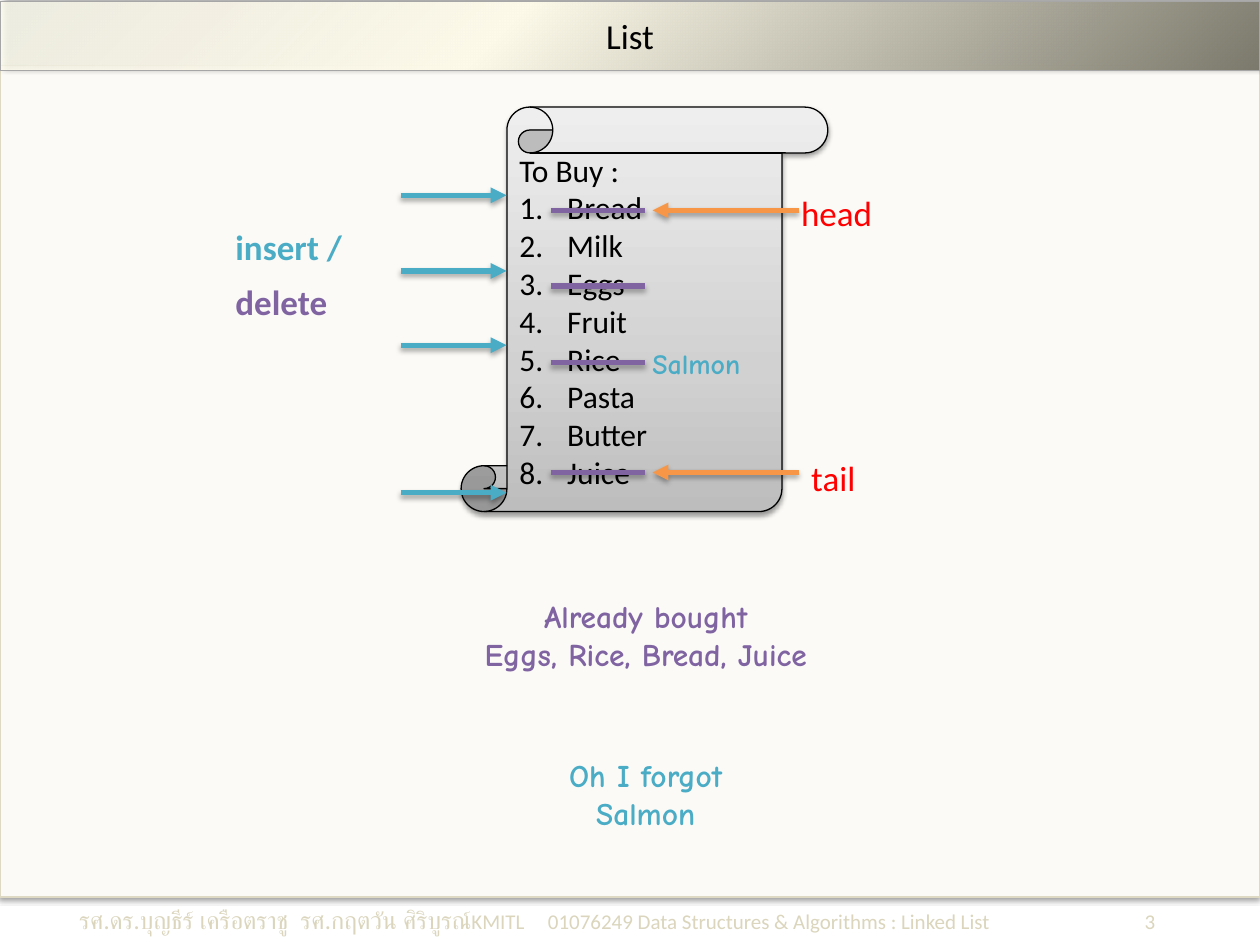
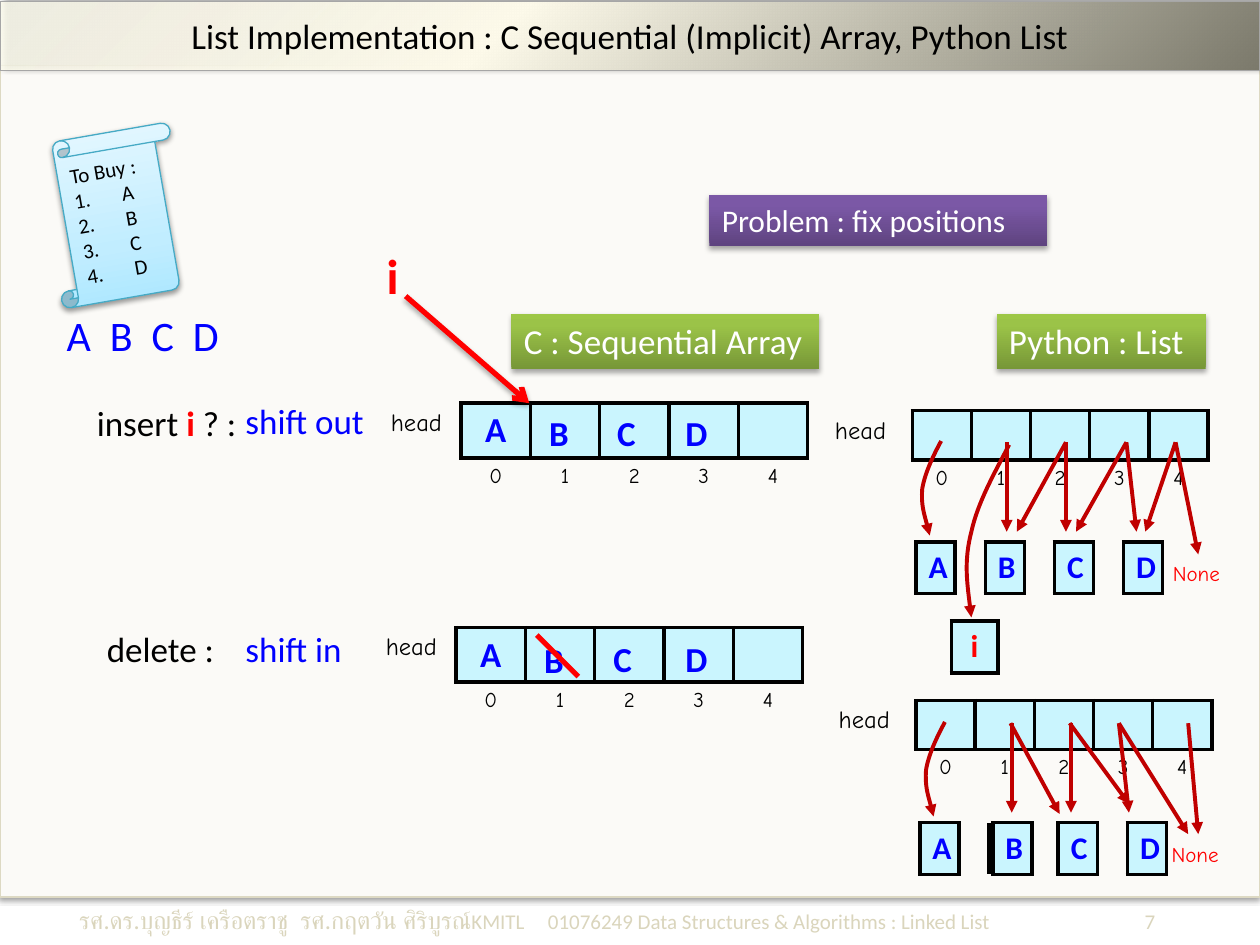
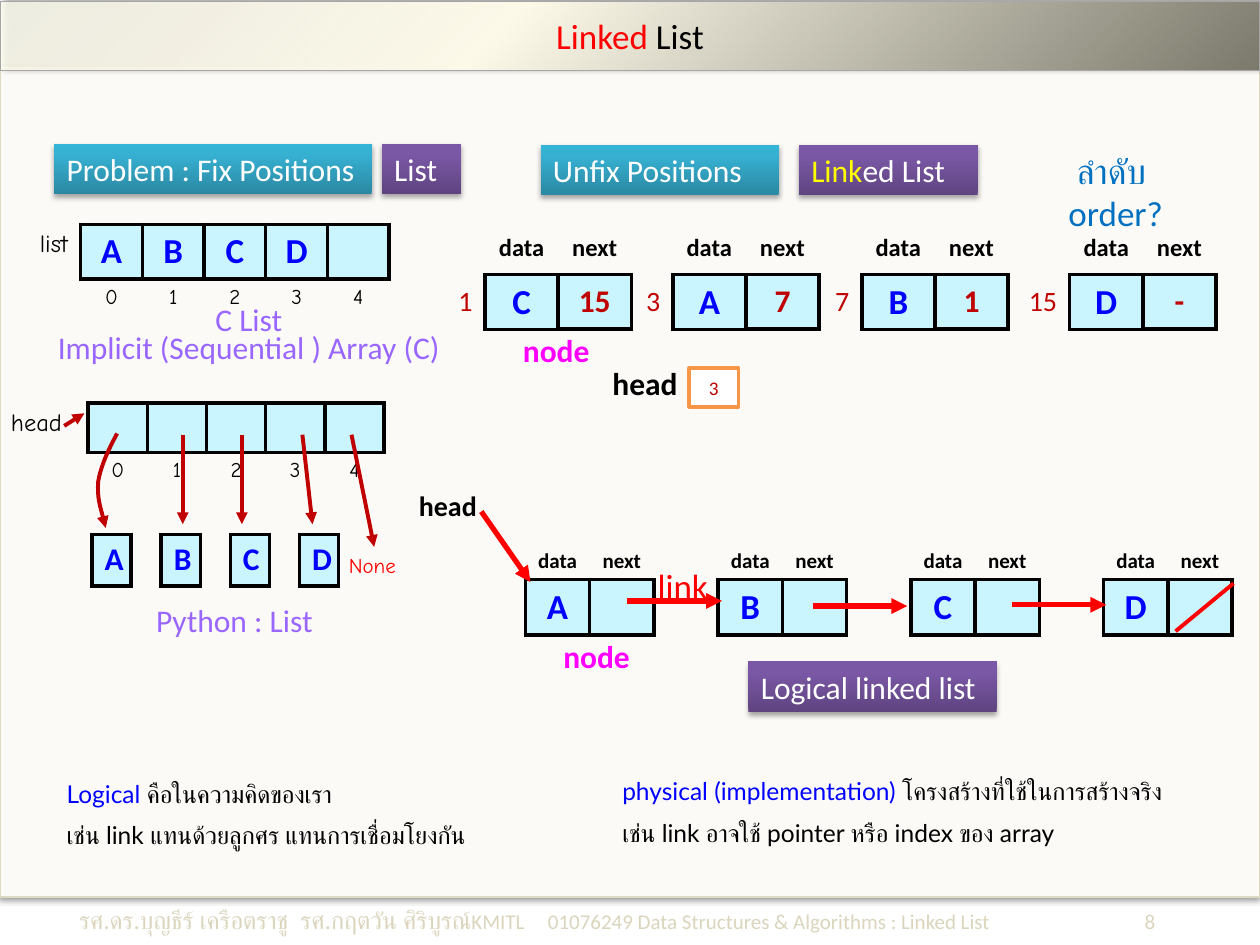
"""Build three lecture slides about lists and linked lists."""
from lxml import etree
from pptx import Presentation
from pptx.dml.color import RGBColor
from pptx.enum.shapes import MSO_CONNECTOR, MSO_SHAPE
from pptx.enum.text import MSO_ANCHOR, MSO_AUTO_SIZE, PP_ALIGN
from pptx.oxml.ns import qn
from pptx.util import Inches, Pt

WIDTH, HEIGHT = 10, 7.5
SANS, COMIC, LATO = "Calibri", "Comic Neue", "Lato"
CENTER, RIGHT = PP_ALIGN.CENTER, PP_ALIGN.RIGHT

BLACK, WHITE = RGBColor(0, 0, 0), RGBColor(255, 255, 255)
RED, DARK_RED = RGBColor(255, 0, 0), RGBColor(0xC0, 0, 0)
BLUE, SKY = RGBColor(0, 0, 255), RGBColor(0, 0x70, 0xC0)
TEAL, PURPLE = RGBColor(0x4B, 0xAC, 0xC6), RGBColor(0x80, 0x64, 0xA2)
ORANGE, YELLOW = RGBColor(0xF7, 0x96, 0x46), RGBColor(255, 255, 0)
VIOLET, PINK = RGBColor(0x99, 0x66, 0xFF), RGBColor(255, 0, 255)
CELL = RGBColor(0xCA, 0xF5, 0xFE)
PANEL, PANEL_EDGE = RGBColor(0xFB, 0xFA, 0xF7), RGBColor(0xDD, 0xD9, 0xC3)
TITLE_EDGE, SCROLL_EDGE = RGBColor(0xA6, 0xA6, 0xA6), RGBColor(0x46, 0xAA, 0xC5)
FOOTER = RGBColor(0xDA, 0xD5, 0xBC)

TITLE_BAND = [(0, "FEFCEE", 79), (40, "FDFAEA", 100), (100, "7B796B", 100)]
GREEN_BAND = [(0, "779737", 100), (80, "9BC348", 100), (100, "9DC746", 100)]
PURPLE_BAND = [(0, "5F4480", 100), (80, "7B58A6", 100), (100, "7C57A8", 100)]
TEAL_BAND = [(0, "2A88A2", 100), (80, "37B1D2", 100), (100, "34B4D6", 100)]
GREY_PAPER = [(0, "BDBDBD", 100), (35, "D1D1D1", 100), (100, "EEEEEE", 100)]
BLUE_PAPER = [(0, "A7E6FF", 100), (35, "C1EDFF", 100), (100, "E7F8FF", 100)]
SOFT, LIFTED, TITLE_SHADOW = (38, 3.1, 1.6, 90), (35, 3.1, 1.8, 90), (40, 4, 3, 315)

HEAD = dict(size=14, font=COMIC, align=CENTER)
INDEX = dict(size=12, font=COMIC, align=CENTER)
LETTER = dict(size=20, color=BLUE, bold=True, align=CENTER)
SMALL_LETTER = dict(LETTER, size=18)
LINK = dict(size=18, color=DARK_RED, bold=True, align=CENTER)
FIELD = dict(size=14, bold=True, align=CENTER)
NOTE = dict(size=18, font=COMIC, bold=True, align=CENTER)
NONE = dict(size=12, font=COMIC, color=RED, wrap=False)
NODE = dict(size=18, color=PINK, bold=True, align=CENTER, wrap=False)

AUTHORS = "รศ.ดร.บุญธีร์ เครือตราชู  รศ.กฤตวัน ศิริบูรณ์"
COURSE = "KMITL\t01076249 Data Structures & Algorithms : Linked List"
SIDES = {"L": (0, -1), "R": (0, 1), "T": (-1, 0), "B": (1, 0)}

SHOPPING = ["To Buy :", "Bread", "Milk", "Eggs", "Fruit", "Rice", "Pasta", "Butter", "Juice"]
STRIKES = [1.67, 2.27, 2.88, 3.75]
INSERT_POINTS = [1.55, 2.15, 2.74, 3.91]
LIST_TEXTS = [
    ("Oh I forgot Salmon", (4.06, 5.95, 2.13, 0.71), dict(NOTE, color=TEAL)),
    (["Already bought", "Eggs, Rice, Bread, Juice"], (3.43, 4.69, 3.39, 0.71), dict(NOTE, color=PURPLE)),
    ("head", (6.26, 1.47, 0.84, 0.39), dict(color=RED)),
    ("tail", (6.34, 3.57, 0.77, 0.35), dict(color=RED)),
    ("insert /", (1.77, 1.74, 1.36, 0.77), dict(color=TEAL, bold=True)),
    ("delete", (1.77, 2.18, 0.94, 0.44), dict(color=PURPLE, bold=True, wrap=False)),
    ("Salmon", (5.08, 2.7, 0.95, 0.37), dict(size=16, font=COMIC, color=TEAL, bold=True, wrap=False)),
]

LOOSE_LETTERS = [("B", 4.26, 3.22), ("C", 4.8, 3.22), ("D", 5.34, 3.22),
                 ("B", 4.22, 5.02), ("C", 4.77, 5.01), ("D", 5.34, 5.01)]
ARRAY_TEXTS = [
    ([["insert ", ("i", dict(color=RED, bold=True)), " ? :"]], (0.67, 3.14, 2.5, 0.44), {}),
    ([["delete :\t", ("shift in", dict(color=BLUE))]], (0.75, 4.93, 2.2, 0.44), dict(tabs=[(1.1, "l")])),
    ("A  B  C  D", (0.43, 2.41, 1.5, 0.5), dict(size=24, color=BLUE)),
    ("i", (2.97, 1.9, 0.33, 0.58), dict(size=28, color=RED, bold=True)),
    ("shift out", (1.85, 3.12, 1.16, 0.44), dict(color=BLUE, wrap=False)),
]
ARRAY_LABELS = [
    ("C : Sequential Array", (4.06, 2.49, 2.44, 0.44), GREEN_BAND, 20),
    ("Problem : fix positions", (5.63, 1.55, 2.68, 0.4), PURPLE_BAND, 18),
    ("Python : List", (7.91, 2.49, 1.66, 0.44), GREEN_BAND, 20),
]
DIRECT = [(1.57, 1.57, 0.96), (2.04, 2.04, 0.96), (2.52, 2.6, 0.96), (2.91, 3.09, 1.14)]
AFTER_INSERT = DIRECT + [(2.91, 2.67, 0.96), (2.52, 2.12, 0.96), (2.04, 1.65, 0.96)]
AFTER_DELETE = [(1.58, 1.58, 0.96), (2.05, 2.05, 0.96), (2.43, 2.51, 0.96), (2.98, 3.06, 1.13),
                (2.43, 2.98, 1.13), (2.04, 2.51, 0.89), (1.57, 1.96, 0.97)]
CURVE = [(0, 0), (-0.07, 0.13), (-0.13, 0.26), (-0.15, 0.38), (-0.16, 0.51), (-0.12, 0.63), (-0.09, 0.75)]
LONG_CURVE = [(0, 0), (-0.12, 0.23), (-0.25, 0.46), (-0.3, 0.69), (-0.36, 0.92), (-0.33, 1.14), (-0.3, 1.37)]

LINKED_LABELS = [
    ([[("Link", dict(color=YELLOW)), "ed List"]], (6.34, 1.15, 1.42, 0.4), PURPLE_BAND, 18),
    ("Problem : Fix Positions", (0.43, 1.14, 2.52, 0.4), TEAL_BAND, 18),
    ("Unfix Positions", (4.29, 1.15, 1.89, 0.4), TEAL_BAND, 18),
    ("Logical linked list", (5.94, 5.25, 1.97, 0.4), PURPLE_BAND, 18),
    ("List", (3.03, 1.14, 0.63, 0.4), PURPLE_BAND, 18),
]
LINKED_TEXTS = [
    (["C List", "Implicit (Sequential ) Array (C)"], (0.28, 2.41, 3.39, 0.57),
     dict(size=18, color=VIOLET, align=CENTER, leading=16)),
    ("ลำดับ  order?", (8.07, 1.14, 1.57, 0.44), dict(color=SKY, align=CENTER)),
    ([[("Logical ", dict(color=BLUE)), "คือในความคิดของเรา"],
      "เช่น link แทนด้วยลูกศร แทนการเชื่อมโยงกัน"],
     (0.43, 6.13, 4.02, 0.69), dict(size=14, font=LATO, gap=7)),
    ([[("physical (implementation) ", dict(color=BLUE)), "โครงสร้างที่ใช้ในการสร้างจริง"],
      "เช่น link อาจใช้ pointer หรือ index ของ array"],
     (4.84, 6.11, 4.92, 0.69), dict(size=14, font=LATO, gap=7)),
    ("head", (3.22, 3.83, 0.67, 0.37), dict(size=16, bold=True, align=CENTER, wrap=False)),
    ("head", (4.76, 2.84, 0.72, 0.4), dict(size=18, bold=True, align=CENTER, wrap=False)),
    ("node", (4.05, 2.58, 0.73, 0.4), NODE),
    ("node", (4.37, 5.01, 0.73, 0.4), NODE),
    ("link", (5.12, 4.43, 0.68, 0.44), dict(color=RED)),
    ("Python : List", (1.14, 4.72, 1.52, 0.4), dict(size=18, color=VIOLET, wrap=False)),
]
MEMORY_NODES = [("1", "C", "15", 3.27), ("3", "A", "7", 4.76), ("7", "B", "1", 6.26), ("15", "D", "-", 7.91)]
LINK_ARROWS = [((3.82, 4.06), (4.21, 4.62)), ((4.98, 4.77), (5.73, 4.77)),
               ((6.45, 4.81), (7.2, 4.81)), ((8.03, 4.8), (8.78, 4.8))]


def inches(values):
    return [Inches(value) for value in values]


def node(parent, tag, **attributes):
    return etree.SubElement(parent, qn(tag), {key: str(value) for key, value in attributes.items()})


def set_shadow(shape, shadow=None):
    effects = node(shape._element.spPr, "a:effectLst")
    if shadow:
        alpha, blur, distance, angle = shadow
        outer = node(effects, "a:outerShdw", blurRad=Pt(blur), dist=Pt(distance),
                     dir=angle * 60000, algn="ctr", rotWithShape=0)
        node(node(outer, "a:srgbClr", val="000000"), "a:alpha", val=alpha * 1000)


def set_gradient(shape, stops, angle=270):
    shape.fill.background()
    blank = shape._element.spPr.find(qn("a:noFill"))
    gradient = etree.Element(qn("a:gradFill"), rotWithShape="1")
    stop_list = node(gradient, "a:gsLst")
    for position, color, alpha in stops:
        stop = node(stop_list, "a:gs", pos=position * 1000)
        node(node(stop, "a:srgbClr", val=color), "a:alpha", val=alpha * 1000)
    node(gradient, "a:lin", ang=angle * 60000, scaled=0)
    blank.getparent().replace(blank, gradient)


def set_line(shape, color, width):
    shape.line.color.rgb = color
    shape.line.width = Pt(width)


def write(frame, paragraphs, size=20, color=BLACK, bold=False, font=SANS, align=None,
          gap=0, leading=None, tabs=(), numbered=False):
    for row, runs in enumerate([paragraphs] if isinstance(paragraphs, str) else paragraphs):
        paragraph = frame.add_paragraph() if row else frame.paragraphs[0]
        paragraph.alignment = align or PP_ALIGN.LEFT
        if gap and row:
            paragraph.space_before = Pt(gap)
        if leading:
            paragraph.line_spacing = Pt(leading)
        properties = paragraph._p.get_or_add_pPr()
        if numbered and row:
            properties.set("marL", str(Inches(0.38)))
            properties.set("indent", str(-Inches(0.38)))
            node(properties, "a:buAutoNum", type="arabicPeriod")
        if tabs:
            tab_list = node(properties, "a:tabLst")
            for position, kind in tabs:
                node(tab_list, "a:tab", pos=Inches(position), algn=kind)
        for run in [runs] if isinstance(runs, str) else runs:
            text, changes = (run, {}) if isinstance(run, str) else run
            look = dict(dict(size=size, color=color, bold=bold), **changes)
            part = paragraph.add_run()
            part.text = text
            part.font.name, part.font.size = font, Pt(look["size"])
            part.font.bold, part.font.color.rgb = look["bold"], look["color"]


def add_text(slide, text, at, wrap=True, **style):
    frame = slide.shapes.add_textbox(*inches(at)).text_frame
    frame.word_wrap = wrap
    if not wrap:
        frame.auto_size = MSO_AUTO_SIZE.SHAPE_TO_FIT_TEXT
    write(frame, text, **style)


def add_label(slide, text, at, band, size):
    label = slide.shapes.add_shape(MSO_SHAPE.RECTANGLE, *inches(at))
    set_gradient(label, band)
    label.line.fill.background()
    set_shadow(label, LIFTED)
    label.text_frame.vertical_anchor = MSO_ANCHOR.TOP
    write(label.text_frame, text, size=size, color=WHITE)


def add_scroll(slide, items, at, paper, edge, size, rotation=0):
    scroll = slide.shapes.add_shape(MSO_SHAPE.VERTICAL_SCROLL, *inches(at))
    scroll.rotation = rotation
    set_gradient(scroll, paper)
    set_line(scroll, edge, 0.75)
    set_shadow(scroll, SOFT)
    scroll.text_frame.vertical_anchor = MSO_ANCHOR.MIDDLE
    write(scroll.text_frame, items, size=size, numbered=True)


def add_arrow(slide, start, end, color, width=3, tip="triangle", shadow=None):
    line = slide.shapes.add_connector(MSO_CONNECTOR.STRAIGHT, *inches(start + end))
    set_line(line, color, width)
    if tip:
        node(line.line._get_or_add_ln(), "a:tailEnd", type=tip)
    set_shadow(line, shadow)


def add_curve(slide, left, top, offsets):
    points = [(Inches(left + x), Inches(top + y)) for x, y in offsets]
    builder = slide.shapes.build_freeform(*points[0])
    builder.add_line_segments(points[1:], close=False)
    curve = builder.convert_to_shape()
    path = curve._element.spPr.find(".//" + qn("a:path"))
    steps = path.findall(qn("a:lnTo"))
    for first in range(0, len(steps), 3):
        bend = node(path, "a:cubicBezTo")
        for step in steps[first:first + 3]:
            bend.append(step[0])
            path.remove(step)
    curve.fill.background()
    set_line(curve, DARK_RED, 2.25)
    node(curve.line._get_or_add_ln(), "a:tailEnd", type="triangle")
    set_shadow(curve)


def add_grid(slide, left, top, columns, rows, cells):
    """Draw a table of (text, style, boxed) cells, with borders round the boxed ones."""
    frame = slide.shapes.add_table(len(rows), len(columns),
                                   *inches((left, top, sum(columns), sum(rows))))
    table = frame.table
    table.first_row = table.horz_banding = False
    table._tbl.tblPr.find(qn("a:tableStyleId")).text = "{2D5ABB26-0587-4C30-8999-92F81FD0307C}"
    for column, width in zip(table.columns, columns):
        column.width = Inches(width)
    for row, height in zip(table.rows, rows):
        row.height = Inches(height)
    boxed = {(r, c) for r, line in enumerate(cells) for c, item in enumerate(line) if item and item[2]}
    for r, line in enumerate(cells):
        for c, item in enumerate(line):
            cell = table.cell(r, c)
            text, style, _ = item or ("", {}, False)
            cell.vertical_anchor = MSO_ANCHOR.TOP if style.get("font") == COMIC else MSO_ANCHOR.MIDDLE
            if (r, c) in boxed:
                cell.fill.solid()
                cell.fill.fore_color.rgb = CELL
            else:
                cell.fill.background()
            if text:
                write(cell.text_frame, text, **style)
            else:
                node(cell.text_frame.paragraphs[0]._p, "a:endParaRPr", sz=1000)
            properties = cell._tc.get_or_add_tcPr()
            edges = [side for side, (down, across) in SIDES.items()
                     if boxed & {(r, c), (r + down, c + across)}]
            for place, side in enumerate(edges):
                border = etree.Element(qn("a:ln" + side), w=str(Pt(2.25)))
                node(node(border, "a:solidFill"), "a:srgbClr", val="000000")
                properties.insert(place, border)
    return table


def add_array(slide, left, top, head_width, cell_width, rows, label, letters=""):
    values = [(letter.strip(), LETTER, True) for letter in letters.ljust(5)]
    indexes = [(str(index), INDEX, False) for index in range(5)]
    add_grid(slide, left, top, [head_width] + [cell_width] * 5, rows,
             [[label + (False,)] + values, [None] + indexes])


def add_python_list(slide, left, top, pointers, letters="ABCD", lift=0, none_shift=0):
    add_array(slide, left, top, 0.82, 0.47, (0.39, 0.43), ("head", HEAD))
    boxes = [None] * 7
    boxes[::2] = [(letter, SMALL_LETTER, True) if letter.strip() else None for letter in letters]
    add_grid(slide, left + 0.85, top + 1.04 - lift, [0.31, 0.23] * 3 + [0.31], [0.41], [boxes])
    add_curve(slide, left + 1.05, top + 0.24 - lift, CURVE)
    for start, end, depth in pointers:
        add_arrow(slide, (left + start, top + 0.25 - lift), (left + end, top + depth - lift), DARK_RED, 2.25)
    add_text(slide, "None", (left + 2.79 - none_shift, top + 1.14 - lift, 0.61, 0.3), **NONE)


def add_panel(slide, layout):
    panel = slide.shapes.add_shape(MSO_SHAPE.RECTANGLE, *inches((0, 0.52, WIDTH, 6.6)))
    panel.fill.solid()
    panel.fill.fore_color.rgb = PANEL
    set_line(panel, PANEL_EDGE, 0.75)
    set_shadow(panel, SOFT)
    layout.shapes._spTree.insert(2, panel._element)


def start_slide(deck, title, number):
    layout = deck.slide_layouts[5]
    slide = deck.slides.add_slide(layout)
    if len(deck.slides) == 1:
        add_panel(slide, layout)
    band = slide.shapes.title
    band.left, band.top, band.width, band.height = inches((0, 0.01, WIDTH, 0.55))
    set_gradient(band, TITLE_BAND, 45)
    set_line(band, TITLE_EDGE, 0.75)
    set_shadow(band, TITLE_SHADOW)
    band.text_frame.vertical_anchor = MSO_ANCHOR.MIDDLE
    write(band.text_frame, title, align=CENTER)
    add_text(slide, [[(AUTHORS, dict(size=14)), COURSE, ("\t", dict(size=16)), str(number)]],
             (0.53, 7.11, 8.98, 0.37), size=12, color=FOOTER, tabs=[(3.72, "l"), (8.54, "r")])
    return slide


def build_list(deck):
    slide = start_slide(deck, "List", 3)
    add_scroll(slide, SHOPPING, (3.66, 0.85, 2.91, 3.21), GREY_PAPER, BLACK, 18)
    for y in (STRIKES[0], STRIKES[-1]):
        add_arrow(slide, (6.34, y), (5.18, y), ORANGE, shadow=LIFTED)
    for y in STRIKES:
        add_arrow(slide, (4.37, y), (5.12, y), PURPLE, tip=None, shadow=LIFTED)
    for y in INSERT_POINTS:
        add_arrow(slide, (3.18, y), (4.02, y), TEAL, shadow=LIFTED)
    for text, at, style in LIST_TEXTS:
        add_text(slide, text, at, **style)


def build_array(deck):
    slide = start_slide(deck, "List Implementation : C Sequential (Implicit) Array, Python List", 7)
    for left, top in ((2.95, 3.2), (2.91, 4.98)):
        add_array(slide, left, top, 0.71, 0.55, (0.43, 0.43), ("head", HEAD), "A")
    for letter, left, top in LOOSE_LETTERS:
        add_text(slide, letter, (left, top, 0.52, 0.57), color=BLUE, bold=True)
    add_arrow(slide, (4.59, 5.37), (4.26, 5.04), RED, tip=None)
    for text, at, style in ARRAY_TEXTS:
        add_text(slide, text, at, **style)
    for label in ARRAY_LABELS:
        add_label(slide, *label)
    add_arrow(slide, (3.22, 2.35), (4.2, 3.2), RED, tip="arrow", shadow=LIFTED)
    add_scroll(slide, ["To Buy :", *"ABCD"], (0.38, 1.05, 1.08, 1.32), BLUE_PAPER, SCROLL_EDGE, 12, 350.1)
    add_python_list(slide, 6.42, 3.26, AFTER_INSERT)
    add_grid(slide, 7.55, 4.93, [0.37], [0.41], [[("i", dict(SMALL_LETTER, color=RED), True)]])
    add_curve(slide, 8.01, 3.53, LONG_CURVE)
    add_python_list(slide, 6.45, 5.56, AFTER_DELETE, "A CD", lift=0.07, none_shift=0.04)
    add_grid(slide, 7.88, 6.53, [0.31], [0.41], [[("B", SMALL_LETTER, True)]])


def build_linked(deck):
    slide = start_slide(deck, [[("Linked", dict(color=RED)), " List"]], 8)
    small_field = dict(FIELD, size=12)
    names, values = [], []
    for letter in "ABCD":
        names += [("data", small_field, False), ("next", small_field, False), None]
        values += [(letter, LETTER, True), ("", {}, True), None]
    add_grid(slide, 4.17, 4.3, [0.51] * 11, (0.3, 0.44, 0.27), [names[:-1], values[:-1], [None] * 11])
    for address, letter, following, left in MEMORY_NODES:
        number = (address, dict(size=16, color=DARK_RED, align=RIGHT), False)
        table = add_grid(slide, left, 1.75, [0.58] * 3, [0.43] * 3,
                         [[None, ("data", FIELD, False), None],
                          [number, (letter, LETTER, True), None], [None] * 3])
        table.cell(2, 1).merge(table.cell(2, 2))
        add_grid(slide, left + 1.16, 1.75, [0.58], [0.43] * 2,
                 [[("next", FIELD, False)], [(following, LINK, True)]])
    add_array(slide, 0, 1.78, 0.64, 0.49, (0.39, 0.24), ("list", dict(HEAD, align=RIGHT)), "ABCD")
    for label in LINKED_LABELS:
        add_label(slide, *label)
    for text, at, style in LINKED_TEXTS:
        add_text(slide, text, at, **style)
    add_arrow(slide, (9.33, 5.01), (9.79, 4.63), RED, 2.25, tip=None)
    for start, end in LINK_ARROWS:
        add_arrow(slide, start, end, RED)
    pointer = slide.shapes.add_shape(MSO_SHAPE.RECTANGLE, *inches((5.47, 2.92, 0.39, 0.31)))
    pointer.fill.solid()
    pointer.fill.fore_color.rgb = WHITE
    set_line(pointer, ORANGE, 2)
    set_shadow(pointer)
    write(pointer.text_frame, "3", size=11, color=DARK_RED, align=CENTER)
    add_python_list(slide, -0.12, 3.2, DIRECT)
    add_arrow(slide, (0.51, 3.38), (0.67, 3.28), DARK_RED, 2.25)


deck = Presentation()
deck.slide_width, deck.slide_height = inches((WIDTH, HEIGHT))
for build in (build_list, build_array, build_linked):
    build(deck)
deck.save("out.pptx")
